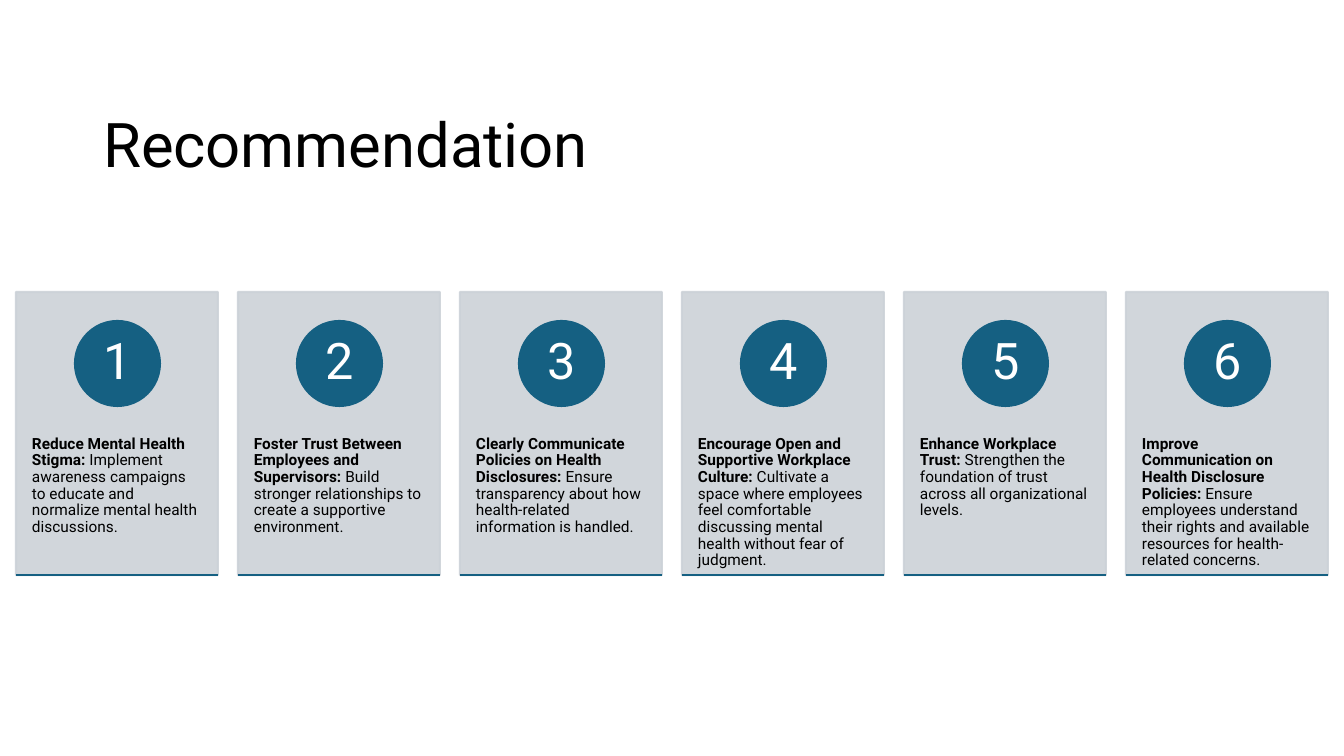
import pptx
import pptx.dml.color
import pptx.enum.shapes
import pptx.enum.text
import pptx.util
from lxml import etree
from pptx.oxml.ns import qn

PX = 914400 / 100.8
FONT = "Roboto"
BLUE, GREY, BLACK, WHITE = "156082", "CCD2D8", "000000", "FFFFFF"
SHAPE = pptx.enum.shapes.MSO_SHAPE
ALIGN = pptx.enum.text.PP_ALIGN
ANCHOR = pptx.enum.text.MSO_ANCHOR

CARDS = [
    ("Reduce Mental Health Stigma:",
     "Implement awareness campaigns to educate and normalize mental health discussions."),
    ("Foster Trust Between Employees and Supervisors:",
     "Build stronger relationships to create a supportive environment."),
    ("Clearly Communicate Policies on Health Disclosures:",
     "Ensure transparency about how health-related information is handled."),
    ("Encourage Open and Supportive Workplace Culture:",
     "Cultivate a space where employees feel comfortable discussing mental health "
     "without fear of judgment."),
    ("Enhance Workplace Trust:",
     "Strengthen the foundation of trust across all organizational levels."),
    ("Improve Communication on Health Disclosure Policies:",
     "Ensure employees understand their rights and available resources for "
     "health-related concerns."),
]
CARD_LEFT, CARD_TOP, CARD_W, CARD_H, PITCH = 16, 292, 202, 283, 222
CIRCLE_TOP, CIRCLE = 321, 85
TEXT_TOP, TEXT_H = 400, 169


def box(*lengths):
    """Turn px lengths into EMU."""
    return [pptx.util.Emu(round(n * PX)) for n in lengths]


def paint(color_format, hex_color):
    color_format.rgb = pptx.dml.color.RGBColor.from_string(hex_color)


prs = pptx.Presentation()
prs.slide_width, prs.slide_height = box(1344, 756)
s = prs.slides.add_slide(prs.slide_layouts[5])

title = s.shapes.title
title.left, title.top, title.width, title.height = box(93, 40, 1159, 146)
tf = title.text_frame
tf.text = "Recommendation"
tf.vertical_anchor = ANCHOR.BOTTOM
tf.auto_size = pptx.enum.text.MSO_AUTO_SIZE.NONE
p = tf.paragraphs[0]
p.alignment = ALIGN.LEFT
p.line_spacing = 0.9
p.font.name, p.font.size = FONT, pptx.util.Pt(44)
paint(p.font.color, BLACK)

cards = s.shapes.add_group_shape().shapes
for i, (heading, advice) in enumerate(CARDS):
    left = CARD_LEFT + i * PITCH

    card = cards.add_shape(SHAPE.RECTANGLE, *box(left, CARD_TOP, CARD_W, CARD_H))
    circle = cards.add_shape(
        SHAPE.OVAL, *box(left + (CARD_W - CIRCLE + 1) // 2, CIRCLE_TOP, CIRCLE, CIRCLE))
    for sp, color in ((card, GREY), (circle, BLUE)):
        sp.shadow.inherit = False
        sp.fill.solid()
        paint(sp.fill.fore_color, color)
        paint(sp.line.color, color)
        sp.line.width = pptx.util.Pt(1.5)
    for clr in card._element.spPr.iter(qn("a:srgbClr")):
        etree.SubElement(clr, qn("a:alpha"), val="90000")

    tf = circle.text_frame
    tf.text = str(i + 1)
    tf.word_wrap = True
    tf.vertical_anchor = ANCHOR.MIDDLE
    tf.margin_left, tf.margin_top, tf.margin_right, tf.margin_bottom = box(7, 1, 7, 1)
    p = tf.paragraphs[0]
    p.alignment = ALIGN.CENTER
    p.line_spacing = 0.9
    p.font.name, p.font.size = FONT, pptx.util.Pt(36)
    paint(p.font.color, WHITE)

    tf = cards.add_textbox(*box(left, TEXT_TOP, CARD_W, TEXT_H)).text_frame
    tf.word_wrap = True
    tf.margin_left, tf.margin_top, tf.margin_right, tf.margin_bottom = box(16, 36, 16, 36)
    p = tf.paragraphs[0]
    p.line_spacing = 0.9
    p.font.name, p.font.size = FONT, pptx.util.Pt(11)
    paint(p.font.color, BLACK)
    r = p.add_run()
    r.text = heading
    r.font.bold = True
    p.add_run().text = " " + advice

    bottom = CARD_TOP + CARD_H
    rule = cards.add_connector(
        pptx.enum.shapes.MSO_CONNECTOR.STRAIGHT, *box(left, bottom, left + CARD_W, bottom))
    paint(rule.line.color, BLUE)
    rule.line.width = pptx.util.Pt(1.5)
    etree.SubElement(rule._element.spPr, qn("a:effectLst"))

prs.save("out.pptx")
